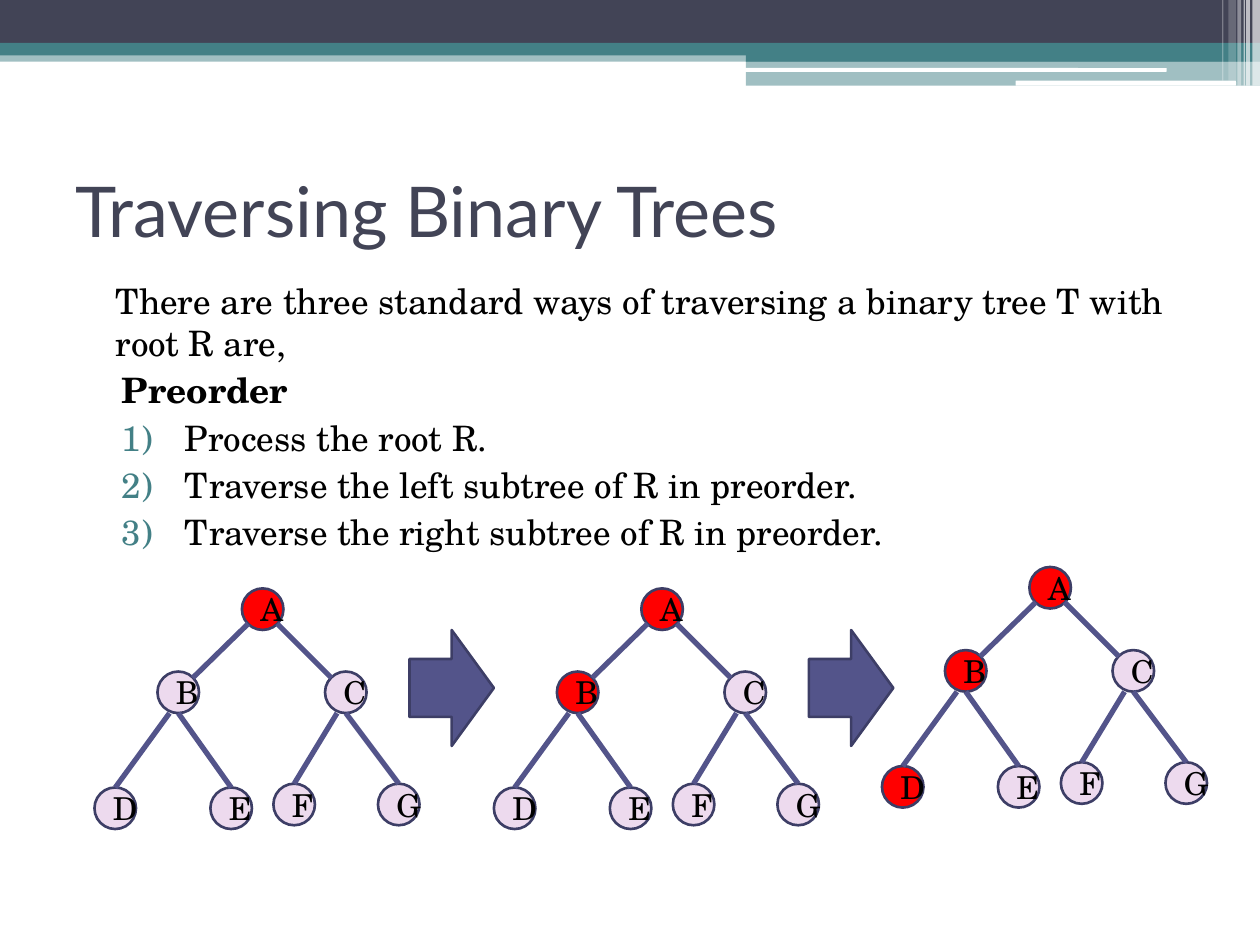
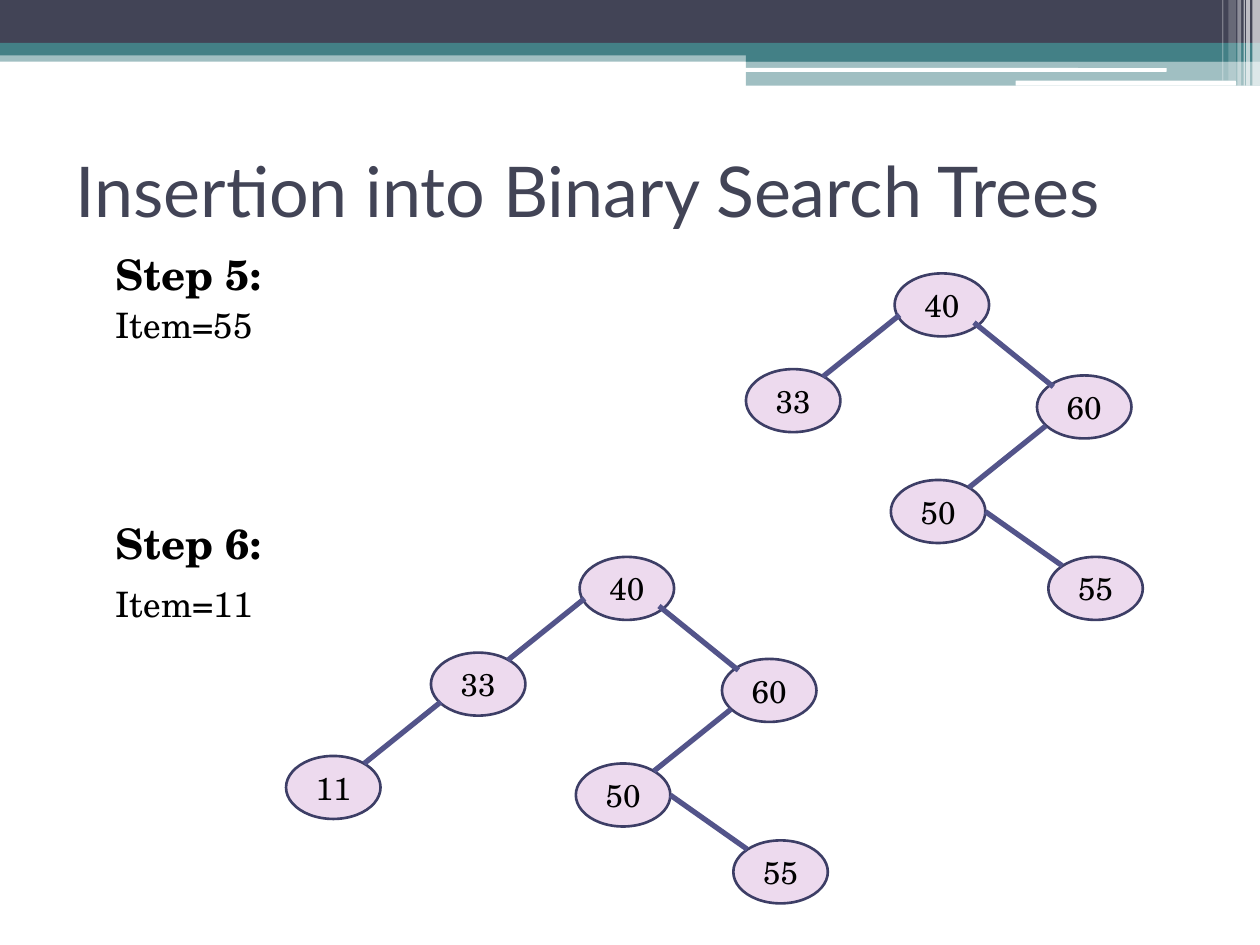
"""Build two slides on traversing and filling binary trees."""
from dataclasses import dataclass

from lxml.etree import SubElement
from pptx import Presentation
from pptx.dml.color import RGBColor
from pptx.enum.shapes import MSO_CONNECTOR, MSO_SHAPE
from pptx.enum.text import MSO_ANCHOR, PP_ALIGN
from pptx.oxml.ns import qn
from pptx.util import Inches, Pt


@dataclass(frozen=True)
class Theme:
    navy: str = "424456"
    teal: str = "438086"
    white: str = "FFFFFF"
    black: str = "000000"
    node: str = "EDDAEE"
    visited: str = "FF0000"
    outline: str = "3D3E66"
    branch: str = "53548A"
    heading_font: str = "Lato"
    body_font: str = "TeX Gyre Schola"
    title_size: int = 40
    step_size: int = 24
    body_size: int = 20
    node_size: int = 18
    outline_width: float = 1.5
    branch_width: float = 3


@dataclass
class Line:
    text: str
    size: int
    bold: bool = False
    margin: float = 0.4
    indent: float = 0
    before: float = 3
    level: int = 0
    numbered: bool = False
    align: PP_ALIGN = PP_ALIGN.LEFT


THEME = Theme()

BANDS = [
    (0, 0.4, 10, 0.09, THEME.teal, 50),
    (0, 0, 10, 0.34, THEME.navy, 100),
    (0, 0.34, 10, 0.1, THEME.teal, 100),
    (5.92, 0.39, 4.08, 0.1, THEME.teal, 100),
    (5.92, 0.48, 4.08, 0.2, THEME.teal, 50),
]
RULES = [(5.91, 0.54, 3.35, 0.03), (8.06, 0.64, 1.75, 0.04)]
STRIPES = [
    (9.94, 0.06, 0.68, 65),
    (9.89, 0.03, 0.68, 65),
    (9.87, 0.01, 0.68, 60),
    (9.82, 0.03, 0.68, 40),
    (9.75, 0.06, 0.64, 20),
    (9.7, 0.01, 0.64, 30),
]

CIRCLE = 0.33
LETTER_SPOTS = {
    "A": (1.17, 0), "B": (0.5, 0.66), "C": (1.83, 0.66), "D": (0, 1.58),
    "E": (0.92, 1.58), "F": (1.42, 1.55), "G": (2.25, 1.55),
}
TRAVERSAL = [((0.75, 4.67), "A"), ((3.92, 4.67), "AB"), ((7, 4.5), "ABD")]

KEY_SPOTS = {
    "40": (0, 0), "60": (1.13, 0.81), "50": (-0.03, 1.64),
    "33": (-1.18, 0.76), "55": (1.22, 2.25), "11": (-2.33, 1.58),
}
KEY_BRANCHES = {
    "60": ((0.63, 0.39), (1.26, 0.9)),
    "50": ((1.2, 1.21), (0.59, 1.7)),
    "33": ((0.04, 0.33), (-0.57, 0.82)),
    "55": ((0.72, 1.89), (1.33, 2.32)),
    "11": ((-1.1, 1.15), (-1.71, 1.64)),
}


class Deck:
    def __init__(self, theme):
        self.theme = theme
        self.presentation = Presentation()
        self.presentation.slide_width = Inches(10)
        self.presentation.slide_height = Inches(7.5)
        self.slide = None

    def start_slide(self, title, title_top):
        layout = self.presentation.slide_layouts[6]
        self.slide = self.presentation.slides.add_slide(layout)
        for *box, color, opacity in BANDS:
            self.shape(MSO_SHAPE.RECTANGLE, box, color, opacity)
        for box in RULES:
            self.shape(MSO_SHAPE.ROUNDED_RECTANGLE, box, self.theme.white)
        for left, width, height, opacity in STRIPES:
            self.shape(MSO_SHAPE.RECTANGLE, (left, 0, width, height), self.theme.white, opacity)
        heading = Line(title, self.theme.title_size, margin=0, before=0)
        self.text((0.5, title_top, 9, 1.17), [heading], self.theme.heading_font,
                  self.theme.navy, MSO_ANCHOR.MIDDLE)

    def shape(self, kind, box, color, opacity=100, outlined=False):
        shape = self.slide.shapes.add_shape(kind, *map(Inches, box))
        shape.shadow.inherit = False
        shape.fill.solid()
        shape.fill.fore_color.rgb = RGBColor.from_string(color)
        if opacity < 100:
            tint = shape.element.spPr.find(qn("a:solidFill")).find(qn("a:srgbClr"))
            SubElement(tint, qn("a:alpha")).set("val", str(opacity * 1000))
        if outlined:
            shape.line.color.rgb = RGBColor.from_string(self.theme.outline)
            shape.line.width = Pt(self.theme.outline_width)
        else:
            shape.line.fill.background()
        return shape

    def style(self, paragraph, font_name, size, color, bold=False):
        for run in paragraph.runs:
            run.font.name = font_name
            run.font.size = Pt(size)
            run.font.bold = bold
            run.font.color.rgb = RGBColor.from_string(color)

    def text(self, box, lines, font_name, color, anchor=MSO_ANCHOR.TOP):
        frame = self.slide.shapes.add_textbox(*map(Inches, box)).text_frame
        frame.word_wrap = True
        frame.vertical_anchor = anchor
        for index, line in enumerate(lines):
            paragraph = frame.add_paragraph() if index else frame.paragraphs[0]
            paragraph.text = line.text
            paragraph.level = line.level
            paragraph.alignment = line.align
            paragraph.space_before = Pt(line.before)
            self.style(paragraph, font_name, line.size, color, line.bold)
            properties = paragraph._p.get_or_add_pPr()
            properties.set("marL", str(Inches(line.margin)))
            properties.set("indent", str(Inches(line.indent)))
            if line.numbered:
                tint = SubElement(properties, qn("a:buClr"))
                SubElement(tint, qn("a:srgbClr")).set("val", self.theme.teal)
                SubElement(properties, qn("a:buAutoNum")).set("type", "arabicParenR")

    def body(self, box, lines):
        self.text(box, lines, self.theme.body_font, self.theme.black)

    def node(self, label, box, color):
        node = self.shape(MSO_SHAPE.OVAL, box, color, outlined=True)
        node.text_frame.text = label
        node.text_frame.vertical_anchor = MSO_ANCHOR.MIDDLE
        paragraph = node.text_frame.paragraphs[0]
        paragraph.alignment = PP_ALIGN.CENTER
        self.style(paragraph, self.theme.body_font, self.theme.node_size, self.theme.black)
        return node

    def branch(self, start, end, child=None):
        branch = self.slide.shapes.add_connector(
            MSO_CONNECTOR.STRAIGHT, *map(Inches, (*start, *end)))
        branch.line.color.rgb = RGBColor.from_string(self.theme.branch)
        branch.line.width = Pt(self.theme.branch_width)
        SubElement(branch.element.spPr, qn("a:effectLst"))
        if child is not None:
            branch.end_connect(child, 0)

    def arrow(self, left):
        self.shape(MSO_SHAPE.RIGHT_ARROW, (left, 5, 0.67, 0.92), self.theme.branch, outlined=True)

    def letter_tree(self, origin, visited):
        spots = {letter: (origin[0] + x, origin[1] + y)
                 for letter, (x, y) in LETTER_SPOTS.items()}
        nodes = {letter: self.node(letter, (*spot, CIRCLE, CIRCLE),
                                   self.theme.visited if letter in visited else self.theme.node)
                 for letter, spot in spots.items()}
        near, far = 0.05, CIRCLE - 0.05
        middle = CIRCLE / 2
        root_x, root_y = spots["A"]
        for parent, start_x, end_x in (("B", near, far), ("C", far, near)):
            x, y = spots[parent]
            self.branch((root_x + start_x, root_y + far), (x + end_x, y + near))
        for parent, child, shift in (("B", "D", -0.07), ("B", "E", 0),
                                     ("C", "F", -0.07), ("C", "G", 0)):
            x, y = spots[parent]
            child_x, child_y = spots[child]
            self.branch((x + middle + shift, y + CIRCLE),
                        (child_x + middle, child_y), nodes[child])

    def key_tree(self, origin, keys):
        def place(point):
            return origin[0] + point[0], origin[1] + point[1]

        for key in keys:
            self.node(key, (*place(KEY_SPOTS[key]), 0.75, 0.5), self.theme.node)
        for key in keys[1:]:
            start, end = KEY_BRANCHES[key]
            self.branch(place(start), place(end))


def add_traversal(deck):
    size = deck.theme.body_size
    steps = ["Process the root R.", "Traverse the left subtree of R in preorder.",
             "Traverse the right subtree of R in preorder."]
    deck.start_slide("Traversing Binary Trees", 1.08)
    deck.body((0.42, 2.17, 9.33, 5.17), [
        Line("There are three standard ways of traversing a binary tree T with root R are,", size),
        Line("Preorder", size, bold=True, margin=0.72, indent=-0.27, level=1),
        *(Line(step, size, margin=0.95, indent=-0.5, level=1, numbered=True) for step in steps),
    ])
    for origin, visited in TRAVERSAL:
        deck.letter_tree(origin, visited)
    for left in (3.25, 6.42):
        deck.arrow(left)


def add_insertion(deck):
    step, item = deck.theme.step_size, deck.theme.body_size
    justified = PP_ALIGN.JUSTIFY
    deck.start_slide("Insertion into Binary Search Trees", 0.92)
    deck.body((0.42, 1.92, 9.33, 5.33), [
        Line("Step 5:", step, bold=True, align=justified),
        Line("Item=55", item, align=justified),
        Line("Step 6:", step, bold=True, before=98.4, align=justified),
        Line("Item=11", item, before=8, align=justified),
    ])
    keys = ["40", "60", "50", "33", "55"]
    deck.key_tree((7.1, 2.17), keys)
    deck.key_tree((4.6, 4.42), keys + ["11"])


def main():
    deck = Deck(THEME)
    add_traversal(deck)
    add_insertion(deck)
    deck.presentation.save("out.pptx")


if __name__ == "__main__":
    main()
